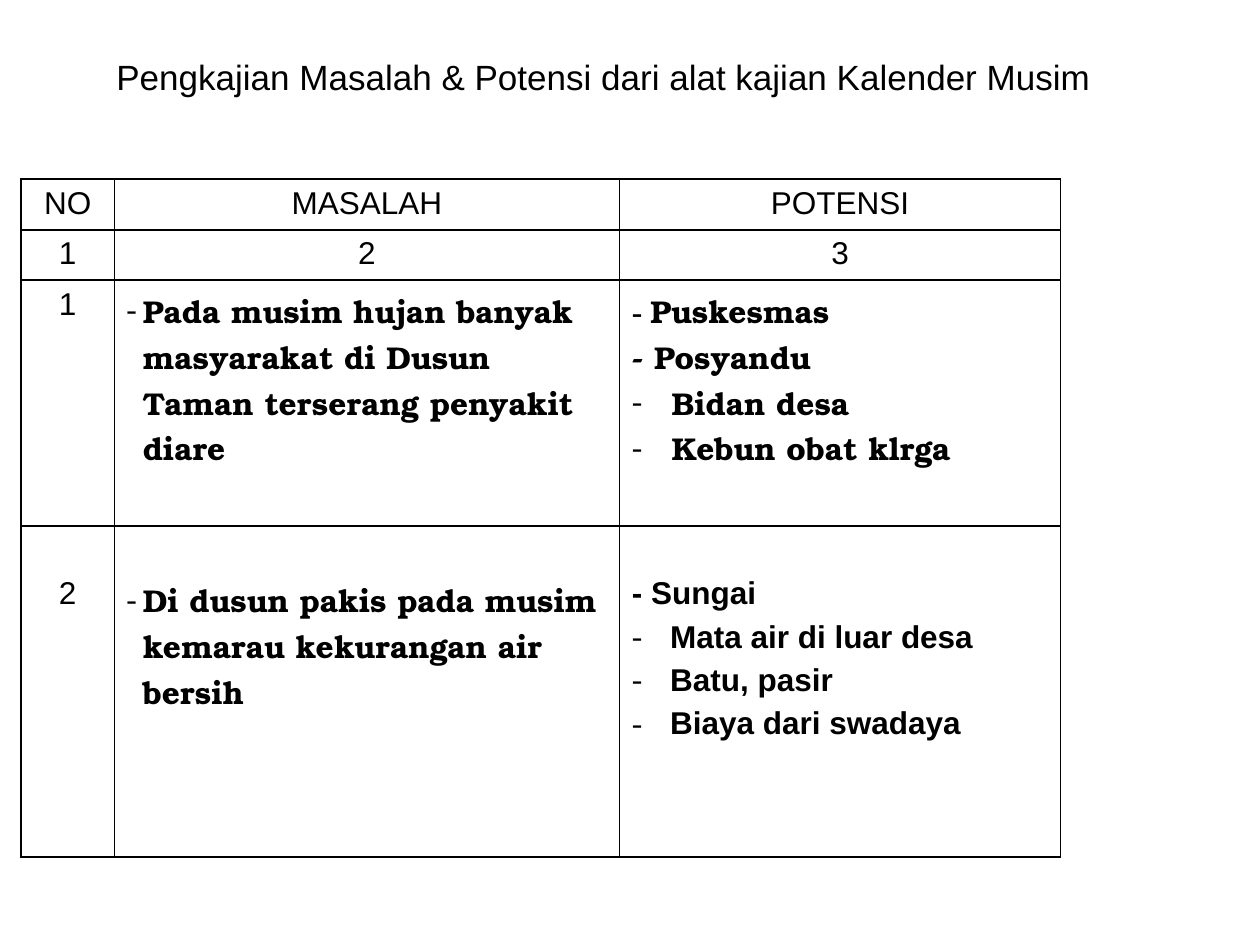
from lxml.etree import SubElement
from pptx import Presentation
from pptx.dml.color import RGBColor
from pptx.enum.text import MSO_ANCHOR, PP_ALIGN
from pptx.oxml.ns import qn
from pptx.util import Cm, Pt

BLACK, WHITE = "000000", "FFFFFF"
SANS, SERIF, TIMES = "Arial", "TeX Gyre Bonum", "Times New Roman"
COLS = [1.87, 10.19, 8.89]
ROWS = [1.02, 1.02, 4.95, 6.68]
HEADER = [["NO", "MASALAH", "POTENSI"], ["1", "2", "3"]]
PROBLEMS = [
    "Pada musim hujan banyak masyarakat di Dusun Taman terserang penyakit diare",
    "Di dusun pakis pada musim kemarau kekurangan air bersih",
]
HEALTH = ["Bidan desa", "Kebun obat klrga"]
RESOURCES = ["Mata air di luar desa", "Batu, pasir", "Biaya dari swadaya"]


def rgb(value):
    """Turn a hex string into a colour."""
    return RGBColor.from_string(value)


def set_all(obj, values):
    """Set every attribute in a dict of format values."""
    for name, value in values.items():
        setattr(obj, name, value)


def add_run(p, text, font=SANS, size=18, bold=False):
    """Append a formatted run to a paragraph."""
    r = p.add_run()
    r.text = text
    set_all(r.font, {"name": font, "size": Pt(size), "bold": bold})
    r.font.color.rgb = rgb(BLACK)


def add_dash(p, indent):
    """Give a paragraph a hanging dash bullet."""
    pPr = p._p.get_or_add_pPr()
    pPr.set("marL", str(Cm(indent)))
    pPr.set("indent", str(-Cm(indent)))
    color = SubElement(pPr, qn("a:buClr"))
    SubElement(color, qn("a:srgbClr"), val=BLACK)
    SubElement(pPr, qn("a:buFont"), typeface=TIMES)
    SubElement(pPr, qn("a:buChar"), char="-")


def add_line(tf, runs, indent=0, before=0, align=PP_ALIGN.LEFT):
    """Write runs as the next paragraph, dashed when indented."""
    first = tf.paragraphs[0]
    p = tf.add_paragraph() if first.runs else first
    set_all(p, {"alignment": align, "space_before": Pt(before)})
    if indent:
        add_dash(p, indent)
    for text, fmt in runs:
        add_run(p, text, **fmt)


def style_cell(cell, col, top):
    """Set the margins, borders and fill of a cell."""
    set_all(cell, {"margin_left": Cm(0.25), "margin_right": Cm(0.25),
                   "margin_top": Cm(top), "margin_bottom": Cm(0.13)})
    tcPr = cell._tc.get_or_add_tcPr()
    widths = {"L": 0.45 if col else 1.08, "R": 1.08 if col == len(COLS) - 1 else 0.45,
              "T": 1.08, "B": 1.08}
    for side, width in widths.items():
        ln = SubElement(tcPr, qn(f"a:ln{side}"), w=str(Pt(width)))
        fill = SubElement(ln, qn("a:solidFill"))
        SubElement(fill, qn("a:srgbClr"), val=BLACK)
    cell.fill.solid()
    cell.fill.fore_color.rgb = rgb(WHITE)


def add_title(s, text):
    """Place and fill the title placeholder."""
    sp = s.shapes.title
    set_all(sp, {"left": Cm(0.84), "top": Cm(0.43), "width": Cm(22.66), "height": Cm(2.21)})
    sp.text_frame.vertical_anchor = MSO_ANCHOR.MIDDLE
    add_line(sp.text_frame, [(text, {"size": 20})], align=PP_ALIGN.CENTER)


def add_grid(s):
    """Add the plain ruled table and return it."""
    shape = s.shapes.add_table(len(ROWS), len(COLS), Cm(0.43), Cm(3.61),
                               Cm(sum(COLS)), Cm(sum(ROWS)))
    table = shape.table
    set_all(table, {"first_row": False, "horz_banding": False})
    for column, width in zip(table.columns, COLS):
        column.width = Cm(width)
    for i, height in enumerate(ROWS):
        table.rows[i].height = Cm(height)
        for j in range(len(COLS)):
            style_cell(table.cell(i, j), j, 1.02 if i == 3 else 0.13)
    return table


def fill_grid(table):
    """Write the headings, problems and potentials."""
    bold = {"font": SERIF, "bold": True}
    sans = {"bold": True}
    for i, row in enumerate(HEADER):
        for j, text in enumerate(row):
            add_line(table.cell(i, j).text_frame, [(text, {})], align=PP_ALIGN.CENTER)
    for n, text in enumerate(PROBLEMS, 1):
        add_line(table.cell(n + 1, 0).text_frame, [(str(n), {})], align=PP_ALIGN.CENTER)
        add_line(table.cell(n + 1, 1).text_frame, [(text, bold)], indent=0.33)

    tf = table.cell(2, 2).text_frame
    add_line(tf, [("- ", {"font": TIMES, "bold": True}), ("Puskesmas", bold)])
    add_line(tf, [("- Posyandu", bold)])
    for text in HEALTH:
        add_line(tf, [(text, bold)], indent=0.8)

    tf = table.cell(3, 2).text_frame
    add_line(tf, [("- Sungai", sans)])
    for text in RESOURCES:
        add_line(tf, [(text, sans)], indent=0.77, before=4.5)


def main():
    """Build the slide and save it."""
    prs = Presentation()
    set_all(prs, {"slide_width": Cm(25.4), "slide_height": Cm(19.05)})
    s = prs.slides.add_slide(prs.slide_layouts[5])
    add_title(s, "Pengkajian Masalah & Potensi dari alat kajian Kalender Musim")
    fill_grid(add_grid(s))
    prs.save("out.pptx")


if __name__ == "__main__":
    main()
